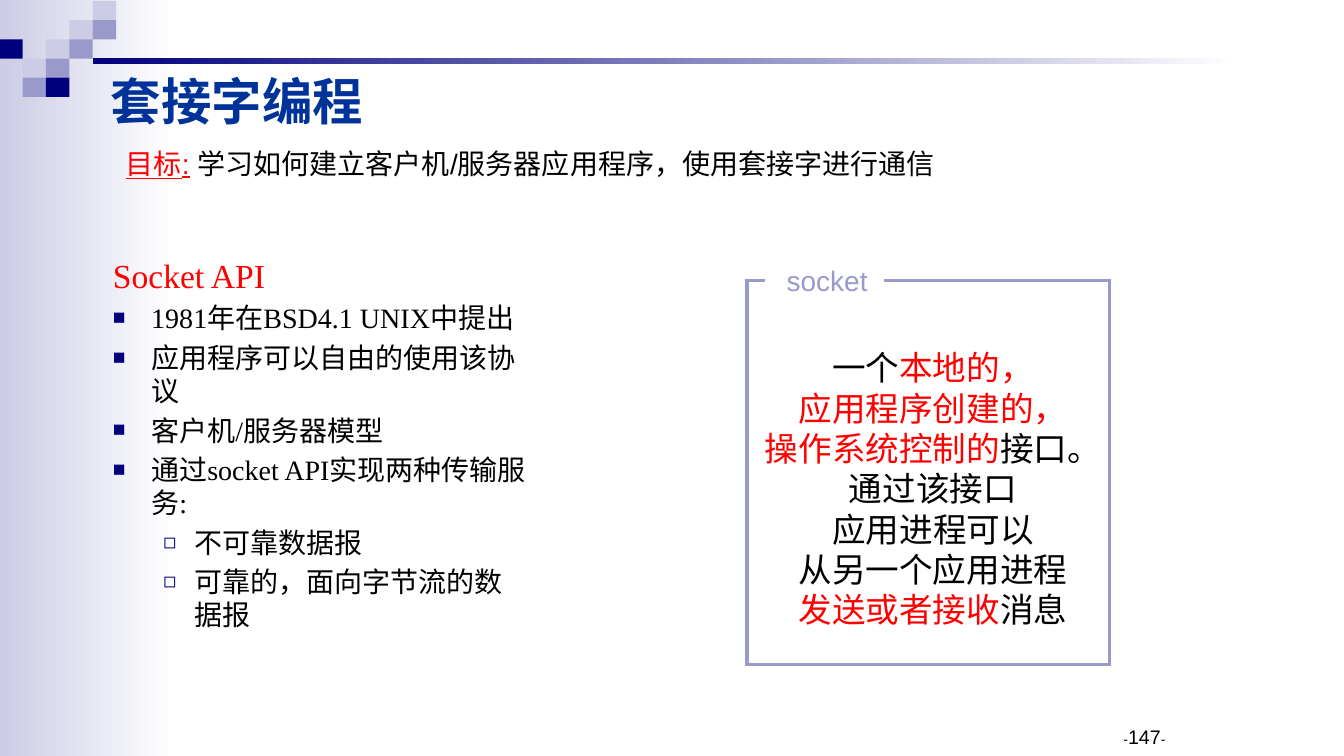
from dataclasses import dataclass
from typing import Optional

from lxml.etree import SubElement
from pptx import Presentation
from pptx.dml.color import RGBColor
from pptx.enum.shapes import MSO_SHAPE as Shape
from pptx.enum.text import MSO_ANCHOR as Anchor, MSO_AUTO_SIZE as AutoSize, PP_ALIGN as Align
from pptx.oxml.ns import qn
from pptx.util import Inches, Pt

NAVY, LILAC, PALE = "00007D", "9999CC", "CCCCE6"
WHITE, BLACK, RED, BLUE = "FFFFFF", "000000", "FF0000", "003399"
SANS, SERIF = "Arial", "Times New Roman"
TILE_LEFT, TILE_TOP, TILE_WIDTH, TILE_HEIGHT = -0.06, 0.13, 1.74, 2.54


@dataclass(frozen=True)
class Area:
    left: float
    top: float
    width: float
    height: float


@dataclass(frozen=True)
class Tile:
    column: int
    row: int
    color: str


@dataclass(frozen=True)
class Span:
    text: str
    color: str = BLACK
    size: float = 20
    font: str = SANS
    bold: bool = False
    underline: bool = False


@dataclass(frozen=True)
class Para:
    spans: tuple[Span, ...]
    align: Align = Align.LEFT
    margin: float = 0
    indent: float = 0
    before: float = 0
    bullet: Optional[str] = None
    level: int = 0


deck = Presentation()
deck.slide_width, deck.slide_height = Inches(13.333), Inches(7.5)
page = deck.slides.add_slide(deck.slide_layouts[1])


def color_of(value: str) -> RGBColor:
    return RGBColor.from_string(value)


def place(area: Area) -> tuple[int, int, int, int]:
    wide, high = deck.slide_width / 100, deck.slide_height / 100
    return (round(area.left * wide), round(area.top * high),
            round(area.width * wide), round(area.height * high))


def add_block(area: Area, colors: tuple[str, ...] = (), line: Optional[str] = None) -> None:
    block = page.shapes.add_shape(Shape.RECTANGLE, *place(area))
    block.shadow.inherit = False
    if len(colors) == 2:
        block.fill.gradient()
        block.fill.gradient_angle = 0
        for stop, position, color in zip(block.fill.gradient_stops, (0, 1), colors):
            stop.position = position
            stop.color.rgb = color_of(color)
    elif colors:
        block.fill.solid()
        block.fill.fore_color.rgb = color_of(colors[0])
    else:
        block.fill.background()
    if line:
        block.line.color.rgb = color_of(line)
        block.line.width = Pt(2.25)
        SubElement(block.line._get_or_add_ln(), qn("a:miter"), lim="800000")
    else:
        block.line.fill.background()


def set_bullet(paragraph, item: Para) -> None:
    properties = paragraph._p.get_or_add_pPr()
    properties.set("marL", str(Inches(item.margin)))
    properties.set("indent", str(Inches(item.indent)))
    if item.bullet is None:
        SubElement(properties, qn("a:buNone"))
        return
    color = SubElement(properties, qn("a:buClr"))
    SubElement(color, qn("a:srgbClr"), val=NAVY)
    SubElement(properties, qn("a:buSzPct"), val="75000")
    SubElement(properties, qn("a:buFont"), typeface=SANS)
    SubElement(properties, qn("a:buChar"), char=item.bullet)


def write(box, paras: list[Para], anchor: Anchor = Anchor.TOP, wrap: bool = True) -> None:
    frame = box.text_frame
    frame.word_wrap = wrap
    frame.auto_size = AutoSize.NONE
    frame.vertical_anchor = anchor
    for number, item in enumerate(paras):
        paragraph = frame.add_paragraph() if number else frame.paragraphs[0]
        set_bullet(paragraph, item)
        paragraph.level = item.level
        paragraph.alignment = item.align
        paragraph.space_before = Pt(item.before)
        for span in item.spans:
            run = paragraph.add_run()
            run.text = span.text
            run.font.name = span.font
            run.font.size = Pt(span.size)
            run.font.bold = span.bold
            run.font.underline = span.underline
            run.font.color.rgb = color_of(span.color)


def add_text(area: Area, paras: list[Para], anchor: Anchor = Anchor.TOP, wrap: bool = True) -> None:
    write(page.shapes.add_textbox(*place(area)), paras, anchor, wrap)


def fill_placeholder(box, area: Area, paras: list[Para], anchor: Anchor = Anchor.TOP) -> None:
    box.left, box.top, box.width, box.height = place(area)
    write(box, paras, anchor)
    page.shapes._spTree.append(box._element)


def topic(text: str) -> Para:
    return Para((Span(text, font=SERIF),), margin=0.38, indent=-0.38, before=4, bullet="■")


def subtopic(text: str) -> Para:
    return Para((Span(text, font=SERIF),), margin=0.81, indent=-0.31, before=4, bullet="◻", level=1)


def centred(*parts: tuple[str, str]) -> Para:
    return Para(tuple(Span(text, color, 24) for text, color in parts), Align.CENTER)


tiles = [
    Tile(4, 0, PALE), Tile(3, 1, PALE), Tile(4, 1, LILAC),
    Tile(0, 2, NAVY), Tile(2, 2, PALE), Tile(3, 2, LILAC),
    Tile(1, 3, PALE), Tile(2, 3, LILAC), Tile(1, 4, LILAC), Tile(2, 4, NAVY),
]
add_block(Area(0, 0, 13, 100), (PALE, WHITE))
for tile in tiles:
    add_block(Area(TILE_LEFT + tile.column * TILE_WIDTH, TILE_TOP + tile.row * TILE_HEIGHT,
                   TILE_WIDTH, TILE_HEIGHT), (tile.color,))
add_block(Area(6.92, 7.73, 85.27, 0.8), (NAVY, WHITE))

fill_placeholder(page.shapes.title, Area(7.5, 7.07, 63.75, 12.53),
                 [Para((Span("套接字编程", BLUE, 36, SERIF, bold=True),))], Anchor.MIDDLE)
fill_placeholder(page.placeholders[1], Area(7.65, 33.07, 32.48, 53.87), [
    Para((Span("Socket API", RED, 24, SERIF),), margin=0.38, indent=-0.38),
    topic("1981年在BSD4.1 UNIX中提出"),
    topic("应用程序可以自由的使用该协议"),
    topic("客户机/服务器模型"),
    topic("通过socket API实现两种传输服务:"),
    subtopic("不可靠数据报"),
    subtopic("可靠的，面向字节流的数据报"),
])

add_text(Area(55.88, 45.07, 27.08, 39.07), [
    centred(("一个", BLACK), ("本地的，", RED)),
    centred(("应用程序创建的，", RED)),
    centred(("操作系统控制的", RED), ("接口。", BLACK)),
    centred(("通过该接口", BLACK)),
    centred(("应用进程可以", BLACK)),
    centred(("从另一个应用进程", BLACK)),
    centred(("发送或者接收", RED), ("消息", BLACK)),
], Anchor.MIDDLE)
add_block(Area(55.58, 37.07, 27, 50.8), line=LILAC)
add_block(Area(56.93, 34.13, 8.85, 5.87), (WHITE,))
add_text(Area(57.75, 34.13, 7.58, 5.87),
         [Para((Span("socket", LILAC),), Align.CENTER)], Anchor.MIDDLE, wrap=False)

add_text(Area(8.63, 18.67, 75.9, 13.07), [Para((
    Span("目标:", RED, underline=True),
    Span(" 学习如何建立客户机/服务器应用程序，使用套接字进行通信"),
), margin=0.38, indent=-0.38)])
add_text(Area(69.98, 95.2, 17.48, 6.67), [Para((
    Span("-", size=10), Span("147", size=14), Span("-", size=10),
), Align.RIGHT)])

deck.save("out.pptx")
